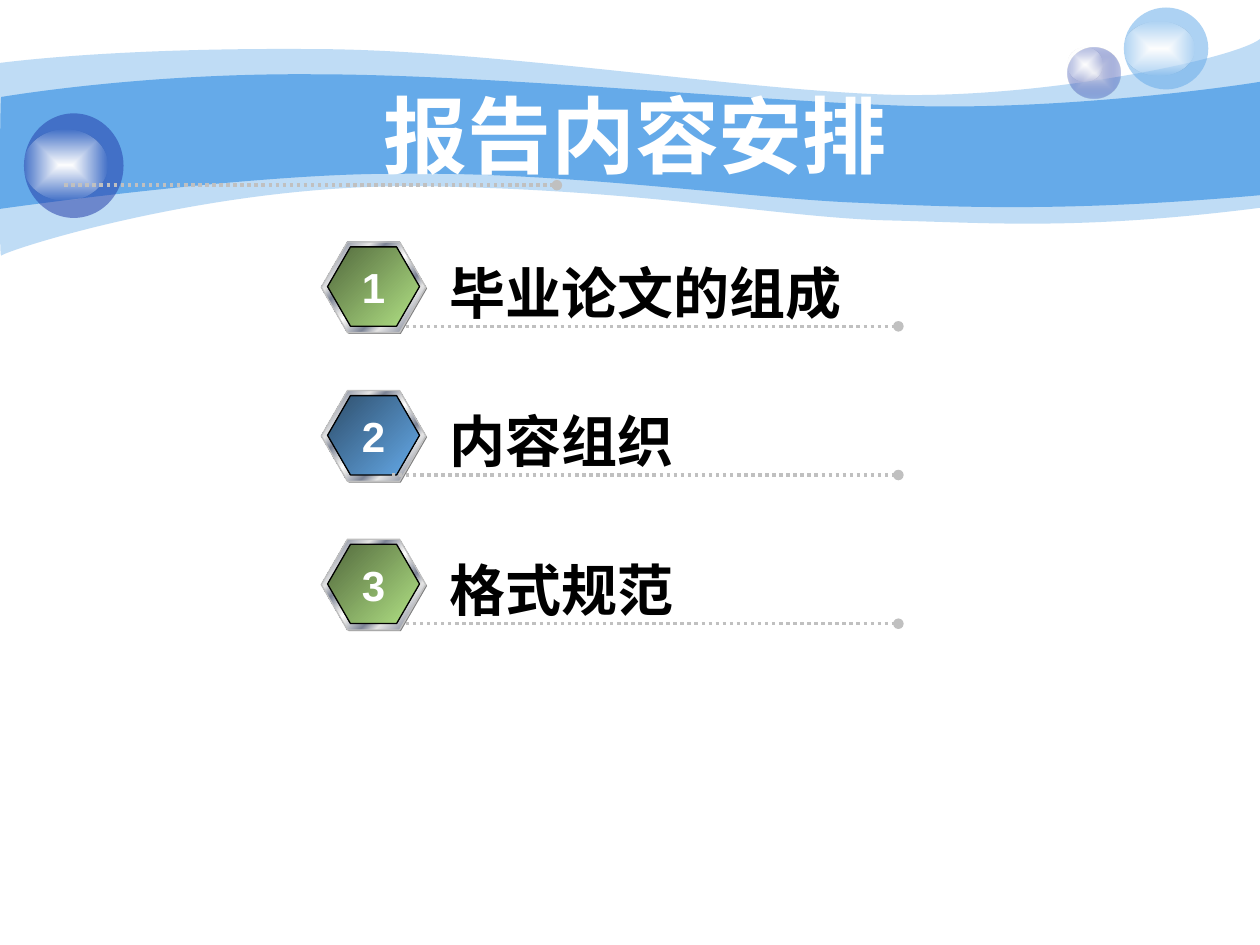
from lxml.etree import Element, SubElement
from pptx import Presentation
from pptx.dml.color import RGBColor as Rgb
from pptx.enum.dml import MSO_LINE as Dash
from pptx.enum.shapes import MSO_CONNECTOR as Link, MSO_SHAPE as Preset
from pptx.enum.text import MSO_ANCHOR as Anchor, MSO_AUTO_SIZE as Fit, PP_ALIGN as Align
from pptx.oxml.ns import qn
from pptx.util import Inches, Pt

COLUMNS, ROWS = 10, 7.5
CELL = Inches(1)

THEME = {
    "sky": "65AAE9", "navy": "233DA9", "mist": "E1E2ED", "white": "FFFFFF",
    "black": "000000", "silver": "C0C0C0", "shade": "808080",
    "green": ("52683D", "B2E385"), "blue": ("2E4E6B", "65AAE9"),
    "title": {"size": Pt(48), "name": "Noto Sans CJK SC"},
    "topic": {"size": Pt(32), "name": "Times New Roman"},
    "number": {"size": Pt(24), "name": "Arial"},
    "east_asian": "Noto Sans CJK SC",
    "rule": Pt(2), "outline": Pt(0.75),
}
METAL = [(0, "E6E6E6"), (8, "7D8496"), (26, "E6E6E6"), (34, "7D8496"),
         (46, "E6E6E6"), (50, "FFFFFF"), (54, "E6E6E6"), (66, "7D8496"),
         (74, "E6E6E6"), (92, "7D8496"), (100, "E6E6E6")]
GLOW = [(0, THEME["white"]), (100, THEME["white"], 0)]

TITLE = "报告内容安排"
TOPICS = [
    ("毕业论文的组成", "green", 3.43, 3.22),
    ("内容组织", "blue", 3.34, 3.11),
    ("格式规范", "green", 3.11, 3.22),
]
FIRST_ROW, ROW_PITCH = 1.93, 1.18

WAVES = [
    (41, (0, 0.5), [
        [(0.24, 0.47), (1.07, 0.38), (2.47, 0.39)],
        [(3.86, 0.39), (5.75, 0.7), (6.99, 0.75)],
        [(8.22, 0.8), (9.8, 0.47), (10, 0.31)],
        [(10, 1.65)],
        [(8.58, 1.83), (7.88, 1.77), (7.05, 1.75)],
        [(6.22, 1.73), (5.15, 1.51), (3.43, 1.48)],
        [(1.72, 1.44), (0.04, 1.99), (0.01, 2.03)],
        [(-0.01, 2.08), (0, 0.75), (0, 0.5)]]),
    (100, (0.01, 0.77), [
        [(0.02, 0.77), (1.1, 0.58), (2.48, 0.59)],
        [(3.86, 0.59), (5.95, 0.8), (7.18, 0.84)],
        [(8.41, 0.88), (9.76, 0.69), (10, 0.65)],
        [(10, 1.55)],
        [(8.53, 1.68), (7.65, 1.65), (6.82, 1.61)],
        [(5.99, 1.58), (4.47, 1.36), (3.17, 1.38)],
        [(2.03, 1.37), (-0.02, 1.66), (-0.01, 1.66)],
        [(0, 1.66), (0, 0.77), (0.01, 0.77)]]),
]
BUBBLES = [
    ((8.47, 0.38, 0.42, 0.4), [(0, THEME["mist"]), (100, THEME["navy"], 31)],
     (8.47, 0.38, 0.28, 0.27)),
    ((8.92, 0.06, 0.67, 0.65), [(0, THEME["sky"], 53)], (8.92, 0.17, 0.56, 0.43)),
    ((0.19, 0.9, 0.79, 0.83), [(0, THEME["navy"], 53)], (0.19, 1.03, 0.66, 0.56)),
]


def grid(*cells):
    return [round(cell * CELL) for cell in cells]


def assign(target, values):
    for key, value in values.items():
        setattr(target, key, value)


def add_color(parent, color, alpha=100):
    node = SubElement(parent, qn("a:srgbClr"), val=color)
    if alpha < 100:
        SubElement(node, qn("a:alpha"), val=str(alpha * 1000))


def paint(shape, stops, angle=None, outline=None):
    properties = shape._element.spPr
    if len(stops) == 1:
        add_color(SubElement(properties, qn("a:solidFill")), *stops[0][1:])
    else:
        gradient = SubElement(properties, qn("a:gradFill"), rotWithShape="1")
        stop_list = SubElement(gradient, qn("a:gsLst"))
        for position, *color in stops:
            add_color(SubElement(stop_list, qn("a:gs"), pos=str(position * 1000)), *color)
        if angle is None:
            shade = SubElement(gradient, qn("a:path"), path="shape")
            SubElement(shade, qn("a:fillToRect"),
                       dict.fromkeys(("l", "t", "r", "b"), "50000"))
        else:
            SubElement(gradient, qn("a:lin"), ang=str(angle * 60000), scaled="1")
    shape.shadow.inherit = False
    if outline:
        shape.line.color.rgb = Rgb.from_string(outline)
        shape.line.width = THEME["outline"]
    else:
        shape.line.fill.background()


def bend(wave, segments):
    steps = iter(list(wave._element.iter(qn("a:lnTo"))))
    for segment in segments:
        controls = [next(steps) for _ in segment]
        if len(controls) == 3:
            curve = Element(qn("a:cubicBezTo"))
            controls[0].addprevious(curve)
            for control in controls:
                curve.append(control[0])
                control.getparent().remove(control)


def add_wave(shapes, alpha, start, segments):
    builder = shapes.build_freeform(*grid(*start))
    builder.add_line_segments(
        [grid(*point) for segment in segments for point in segment], close=True)
    wave = builder.convert_to_shape()
    bend(wave, segments)
    paint(wave, [(0, THEME["sky"], alpha)])


def add_bubble(shapes, ball, stops, shine):
    bubble = shapes.add_group_shape().shapes
    for box, fill in ((ball, stops), (shine, GLOW)):
        paint(bubble.add_shape(Preset.OVAL, *grid(*box)), fill)


def add_badge(shapes, top, tint):
    start, end = THEME[tint]
    layers = [
        ((2.56, top, 0.83, 0.72), [(0, THEME["shade"])], None),
        ((2.55, top - 0.01, 0.83, 0.72), METAL, THEME["silver"]),
        ((2.6, top + 0.03, 0.73, 0.63), [(0, start), (100, end)], THEME["black"]),
    ]
    badge = shapes.add_group_shape().shapes
    for box, stops, outline in layers:
        hexagon = badge.add_shape(Preset.HEXAGON, *grid(*box))
        hexagon.adjustments[0] = 0.289
        paint(hexagon, stops, 45, outline)


def add_rule(shapes, left, right, y):
    rule = shapes.add_connector(Link.STRAIGHT, *grid(left, y, right, y))
    rule.line.color.rgb = Rgb.from_string(THEME["silver"])
    assign(rule.line, {"width": THEME["rule"], "dash_style": Dash.ROUND_DOT})
    SubElement(rule.get_or_add_ln(), qn("a:tailEnd"), type="oval")
    SubElement(rule._element.spPr, qn("a:effectLst"))


def add_label(shapes, words, box, style, color, align, **frame_values):
    frame = shapes.add_textbox(*grid(*box)).text_frame
    assign(frame, {"word_wrap": True, "auto_size": Fit.SHAPE_TO_FIT_TEXT, **frame_values})
    paragraph = frame.paragraphs[0]
    paragraph.alignment = align
    run = paragraph.add_run()
    run.text = words
    assign(run.font, {**THEME[style], "bold": True})
    run.font.color.rgb = Rgb.from_string(THEME[color])
    SubElement(run.font._element, qn("a:ea"), typeface=THEME["east_asian"])


def main():
    deck = Presentation()
    assign(deck, dict(zip(("slide_width", "slide_height"), grid(COLUMNS, ROWS))))
    shapes = deck.slides.add_slide(deck.slide_layouts[6]).shapes
    for wave in WAVES:
        add_wave(shapes, *wave)
    for bubble in BUBBLES:
        add_bubble(shapes, *bubble)
    add_label(shapes, TITLE, (1, 0.75, 8.08, 0.62), "title", "white", Align.CENTER,
              auto_size=Fit.NONE, vertical_anchor=Anchor.MIDDLE)
    add_rule(shapes, 0.51, 4.42, 1.47)
    for index, (topic, tint, width, rule_left) in enumerate(TOPICS):
        top = FIRST_ROW + index * ROW_PITCH
        add_badge(shapes, top, tint)
        add_rule(shapes, rule_left, 7.13, top + 0.66)
        add_label(shapes, topic, (3.47, top + 0.07, width, 0.63),
                  "topic", "black", Align.LEFT)
        add_label(shapes, str(index + 1), (2.77, top + 0.1, 0.39, 0.5),
                  "number", "white", Align.CENTER, word_wrap=False)
    deck.save("out.pptx")


if __name__ == "__main__":
    main()
